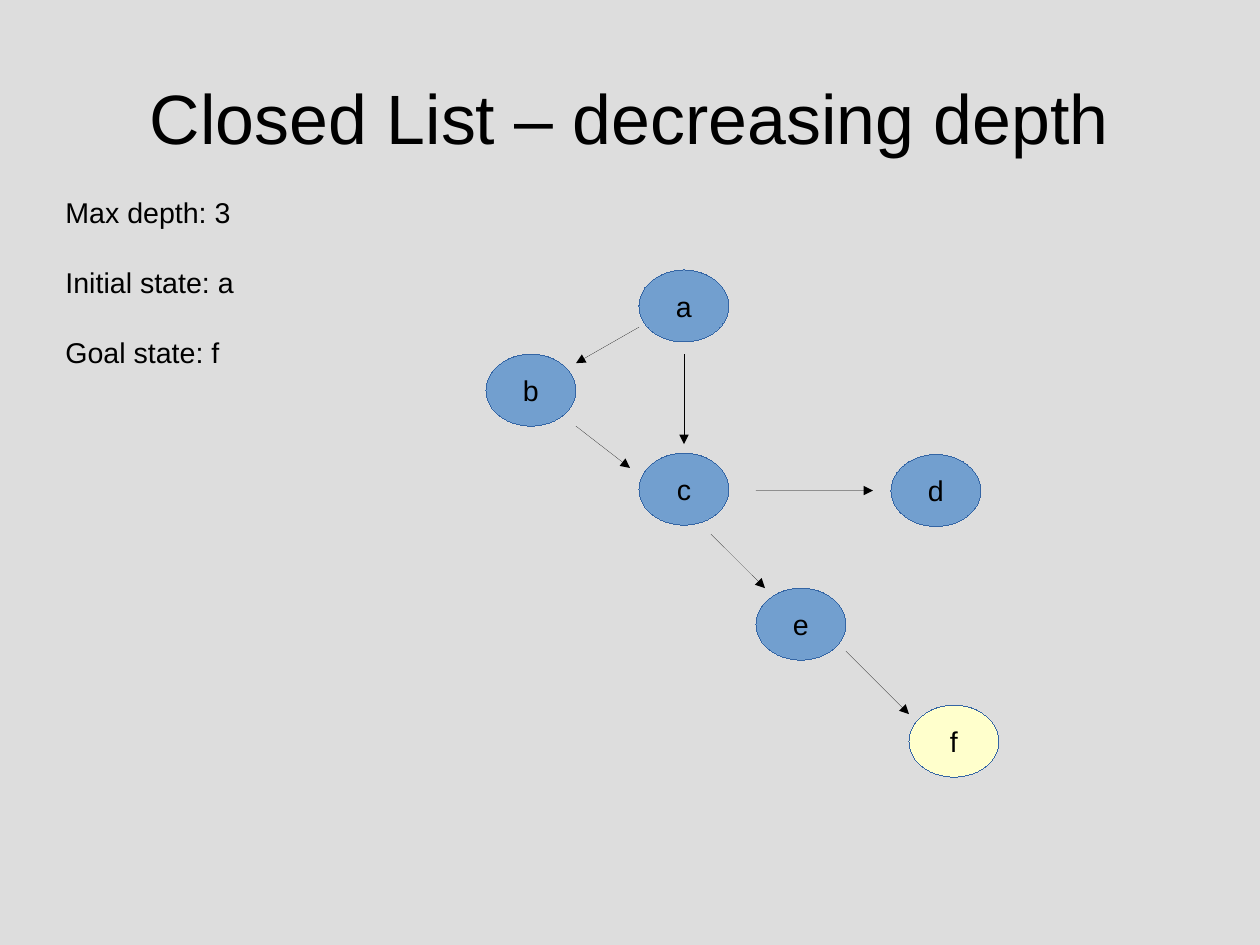
from dataclasses import dataclass

from pptx import Presentation
from pptx.dml.color import RGBColor
from pptx.enum.shapes import MSO_CONNECTOR, MSO_SHAPE
from pptx.enum.text import MSO_ANCHOR, MSO_AUTO_SIZE, PP_ALIGN
from pptx.oxml.ns import qn
from pptx.util import Cm, Pt
from lxml.etree import SubElement

COLS, ROWS = 28, 21  # square grid of one centimetre


@dataclass(frozen=True)
class Theme:
    """Colours, font and type sizes of the slide."""
    back: str = "DDDDDD"
    ink: str = "000000"
    node: str = "729FCF"
    goal: str = "FFFFCC"
    edge: str = "3465A4"
    font: str = "Arial"
    title: int = 44
    body: int = 18
    gap: float = 22.5


def rgb(value):
    """Turn a hex string into a colour."""
    return RGBColor.from_string(value)


def write(p, text, size, color, font, align=PP_ALIGN.LEFT, after=0):
    """Put one formatted run into a paragraph."""
    p.alignment = align
    p.space_before, p.space_after = Pt(0), Pt(after)
    r = p.add_run()
    r.text = text
    r.font.size, r.font.name = Pt(size), font
    r.font.color.rgb = rgb(color)


class Board:
    """Draws styled elements on one slide; lengths are grid units."""

    def __init__(self, slide, theme):
        """Keep the slide and theme, and paint the background."""
        self.s, self.t = slide, theme
        fill = slide.background.fill
        fill.solid()
        fill.fore_color.rgb = rgb(theme.back)

    def place(self, sp, x, y, w, h):
        """Set the box of a shape."""
        sp.left, sp.top, sp.width, sp.height = map(Cm, (x, y, w, h))

    def hairline(self, sp, color):
        """Give a shape a thin line without theme effects."""
        sp.line.color.rgb = rgb(color)
        sp._element.remove(sp._element.find(qn("p:style")))

    def title(self, text, *box):
        """Fill the title placeholder."""
        sp = self.s.shapes.title
        self.place(sp, *box)
        tf = sp.text_frame
        tf.auto_size, tf.vertical_anchor = MSO_AUTO_SIZE.NONE, MSO_ANCHOR.MIDDLE
        tf.margin_left = tf.margin_right = tf.margin_top = tf.margin_bottom = 0
        write(tf.paragraphs[0], text, self.t.title, self.t.ink, self.t.font,
              align=PP_ALIGN.CENTER)

    def facts(self, lines, *box):
        """Fill the body placeholder with unbulleted lines."""
        sp = self.s.placeholders[1]
        self.place(sp, *box)
        tf = sp.text_frame
        tf.auto_size, tf.vertical_anchor = MSO_AUTO_SIZE.NONE, MSO_ANCHOR.TOP
        for i, line in enumerate(lines):
            p = tf.add_paragraph() if i else tf.paragraphs[0]
            write(p, line, self.t.body, self.t.ink, self.t.font, after=self.t.gap)
            pPr = p._p.get_or_add_pPr()
            pPr.set("marL", "0")
            pPr.set("indent", "0")
            SubElement(pPr, qn("a:buNone"))

    def node(self, name, x, y, fill, w=2, h=1.6):
        """Draw a labelled state centred on a grid point."""
        sp = self.s.shapes.add_shape(MSO_SHAPE.OVAL, Cm(x - w / 2), Cm(y - h / 2),
                                     Cm(w), Cm(h))
        sp.fill.solid()
        sp.fill.fore_color.rgb = rgb(fill)
        self.hairline(sp, self.t.edge)
        sp.shadow.inherit = False
        tf = sp.text_frame
        tf.word_wrap, tf.vertical_anchor = False, MSO_ANCHOR.MIDDLE
        write(tf.paragraphs[0], name, self.t.body, self.t.ink, self.t.font,
              align=PP_ALIGN.CENTER)

    def arrow(self, start, end):
        """Draw an arrow between two grid points."""
        sp = self.s.shapes.add_connector(MSO_CONNECTOR.STRAIGHT,
                                         *map(Cm, (*start, *end)))
        self.hairline(sp, self.t.ink)
        SubElement(sp.line._get_or_add_ln(), qn("a:tailEnd"), type="triangle")
        SubElement(sp._element.spPr, qn("a:effectLst"))


def shift(point, offset):
    """Move a point by an offset."""
    return point[0] + offset[0], point[1] + offset[1]


STATES = {"a": (15.2, 6.8), "b": (11.8, 8.67), "c": (15.2, 10.87),
          "d": (20.8, 10.9), "e": (17.8, 13.87), "f": (21.2, 16.47)}
GOAL = "f"
# Each move: from, to, and where the arrow ends lie relative to the two centres
MOVES = [("a", "b", (-1, 0.47), (1, -0.6)),
         ("b", "c", (1, 0.8), (-1.2, -0.47)),
         ("c", "d", (1.6, 0.03), (-1.4, 0)),
         ("c", "e", (0.6, 1), (-0.8, -0.8)),
         ("e", "f", (1, 0.6), (-1, -0.6)),
         ("a", "c", (0, 1.07), (0, -1))]

prs = Presentation()
prs.slide_width, prs.slide_height = Cm(COLS), Cm(ROWS)
theme = Theme()
board = Board(prs.slides.add_slide(prs.slide_layouts[1]), theme)

board.title("Closed List – decreasing depth", 1.4, 0.84, COLS - 2.8, 3.5)
board.facts(["Max depth: 3", "Initial state: a", f"Goal state: {GOAL}"],
            1.2, 4.2, 6, 3.76)
for name, centre in STATES.items():
    board.node(name, *centre, theme.goal if name == GOAL else theme.node)
for tail, head, leave, reach in MOVES:
    board.arrow(shift(STATES[tail], leave), shift(STATES[head], reach))

prs.save("out.pptx")
